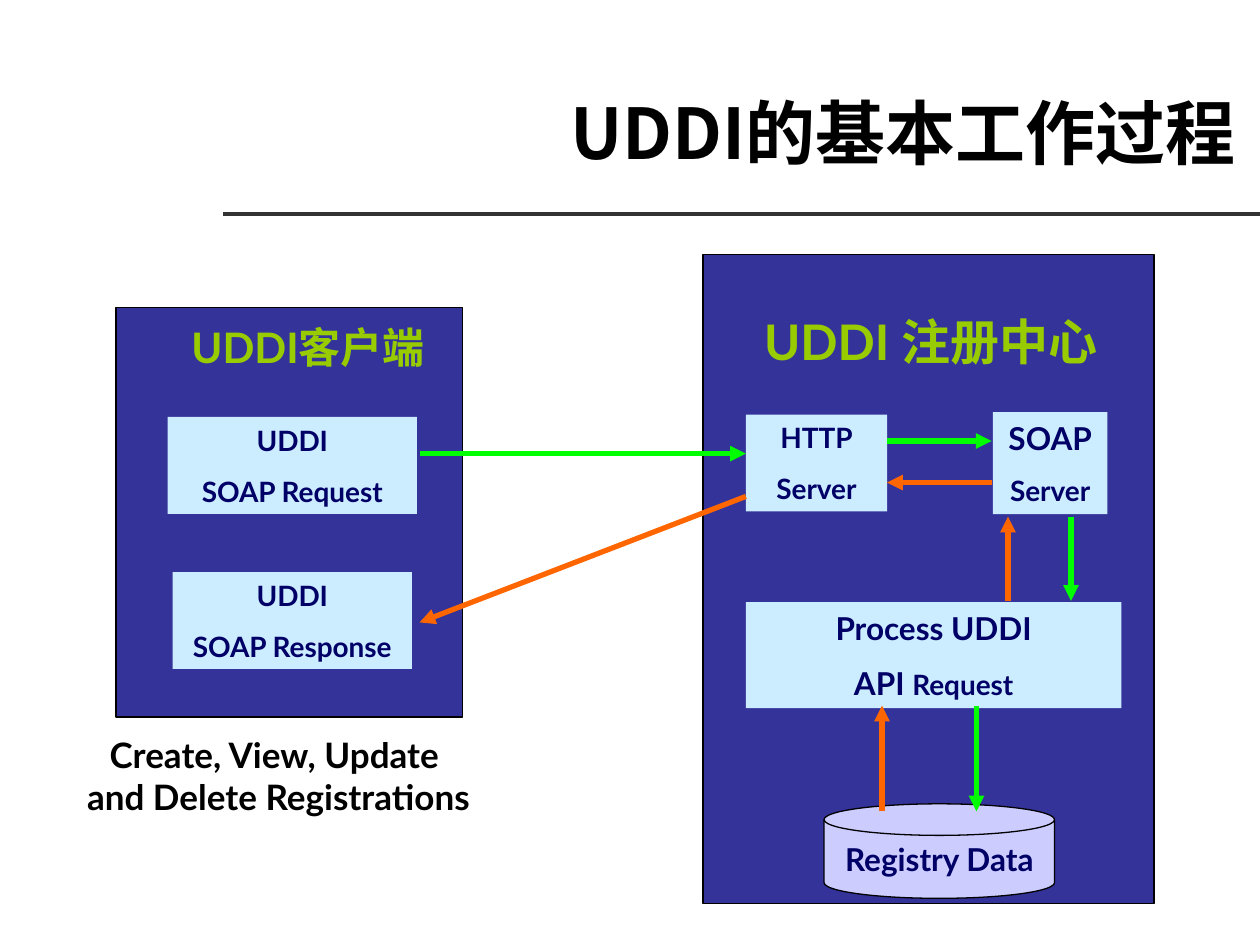
from lxml import etree
from pptx import Presentation
from pptx.dml.color import RGBColor
from pptx.enum.shapes import MSO_CONNECTOR, MSO_SHAPE
from pptx.enum.text import MSO_ANCHOR, PP_ALIGN
from pptx.oxml.ns import qn
from pptx.util import Inches, Pt

RECT = MSO_SHAPE.RECTANGLE
DISK = MSO_SHAPE.FLOWCHART_MAGNETIC_DISK
LINE = MSO_CONNECTOR.STRAIGHT
MID = MSO_ANCHOR.MIDDLE
CENTER, RIGHT = PP_ALIGN.CENTER, PP_ALIGN.RIGHT

THEME = {
    "font": "Lato", "cjk": "Noto Sans CJK SC",
    "black": "000000", "rule": "333333", "panel": "333399", "head": "99CC00",
    "box": "CCECFF", "disk": "CCCCFF", "ink": "000066",
    "go": "00FF00", "back": "FF6600",
    "title": 40, "right": 28, "left": 24, "note": 20, "big": 18, "small": 16,
    "edge": 0.75, "bar": 2.25, "arrow": 3, "gap": 10,
}

PANELS = [(0.92, 2.44, 2.75, 3.25), (5.58, 2.02, 3.58, 5.15)]
LABELS = [
    ((1.77, 0.38, 8.13, 1.32), [[("UDDI的基本工作过程", "title")]], "black", "cjk", RIGHT),
    ((1.34, 2.5, 2.21, 0.5), [[("UDDI客户端", "left")]], "head", "font", CENTER),
    ((5.76, 2.42, 3.25, 0.57), [[("UDDI 注册中心", "right")]], "head", "font", CENTER),
    ((0.39, 5.77, 3.64, 0.77),
     [[("Create, View, Update ", "note")], [("and Delete Registrations", "note")]],
     "black", "font", CENTER),
]
BOXES = [
    ((1.33, 3.31, 1.98, 0.77), [[("UDDI", "small")], [("SOAP Request", "small")]]),
    ((1.37, 4.54, 1.9, 0.77), [[("UDDI", "small")], [("SOAP Response", "small")]]),
    ((5.92, 4.78, 2.98, 0.84),
     [[("Process UDDI", "big")], [("API ", "big"), ("Request", "small")]]),
    ((7.88, 3.27, 0.91, 0.81), [[("SOAP", "big")], [("Server", "small")]]),
    ((5.92, 3.29, 1.12, 0.77), [[("HTTP", "small")], [("Server", "small")]]),
]
STORE = ((6.54, 6.38, 1.83, 0.75), [[("Registry Data", "big")]])
ARROWS = {
    "go": [(3.33, 3.6, 5.92, 3.6), (7.04, 3.5, 7.87, 3.5),
           (8.5, 4.1, 8.5, 4.77), (7.75, 5.6, 7.75, 6.44)],
    "back": [(5.92, 3.94, 3.33, 4.94), (7.87, 3.83, 7.04, 3.83),
             (8, 4.77, 8, 4.1), (7, 6.44, 7, 5.6)],
}


def color(name):
    return RGBColor.from_string(THEME[name])


def write(shape, rows, ink, face="font", align=CENTER, gap=0):
    frame = shape.text_frame
    frame.word_wrap = True
    frame.vertical_anchor = MID
    for i, row in enumerate(rows):
        para = frame.paragraphs[0] if i == 0 else frame.add_paragraph()
        para.alignment = align
        if i and gap:
            para.space_before = Pt(gap)
        for text, size in row:
            run = para.add_run()
            run.text = text
            font = run.font
            font.name = THEME[face]
            font.size = Pt(THEME[size])
            font.bold = True
            font.color.rgb = color(ink)
            east = etree.SubElement(font._element, qn("a:ea"))
            east.set("typeface", THEME["cjk"])


def block(slide, kind, place, fill, edge=False):
    shape = slide.shapes.add_shape(kind, *map(Inches, place))
    shape.shadow.inherit = False
    shape.fill.solid()
    shape.fill.fore_color.rgb = color(fill)
    if edge:
        shape.line.color.rgb = color("black")
        shape.line.width = Pt(THEME["edge"])
    else:
        shape.line.fill.background()
    return shape


def stroke(slide, ends, ink, width, head=False):
    link = slide.shapes.add_connector(LINE, *map(Inches, ends))
    link.line.color.rgb = color(ink)
    link.line.width = Pt(THEME[width])
    if head:
        tip = etree.SubElement(link.line._get_or_add_ln(), qn("a:tailEnd"))
        tip.set("type", "triangle")
    etree.SubElement(link._element.spPr, qn("a:effectLst"))


def main():
    deck = Presentation()
    deck.slide_width, deck.slide_height = Inches(10), Inches(7.5)
    slide = deck.slides.add_slide(deck.slide_layouts[6])
    stroke(slide, (1.77, 1.7, 10, 1.7), "rule", "bar")
    for place in PANELS:
        block(slide, RECT, place, "panel", True)
    for place, rows, ink, face, align in LABELS:
        label = slide.shapes.add_textbox(*map(Inches, place))
        write(label, rows, ink, face, align)
    for place, rows in BOXES:
        write(block(slide, RECT, place, "box"), rows, "ink", gap=THEME["gap"])
    place, rows = STORE
    write(block(slide, DISK, place, "disk", True), rows, "ink")
    for ink, paths in ARROWS.items():
        for ends in paths:
            stroke(slide, ends, ink, "arrow", True)
    deck.save("out.pptx")


if __name__ == "__main__":
    main()
